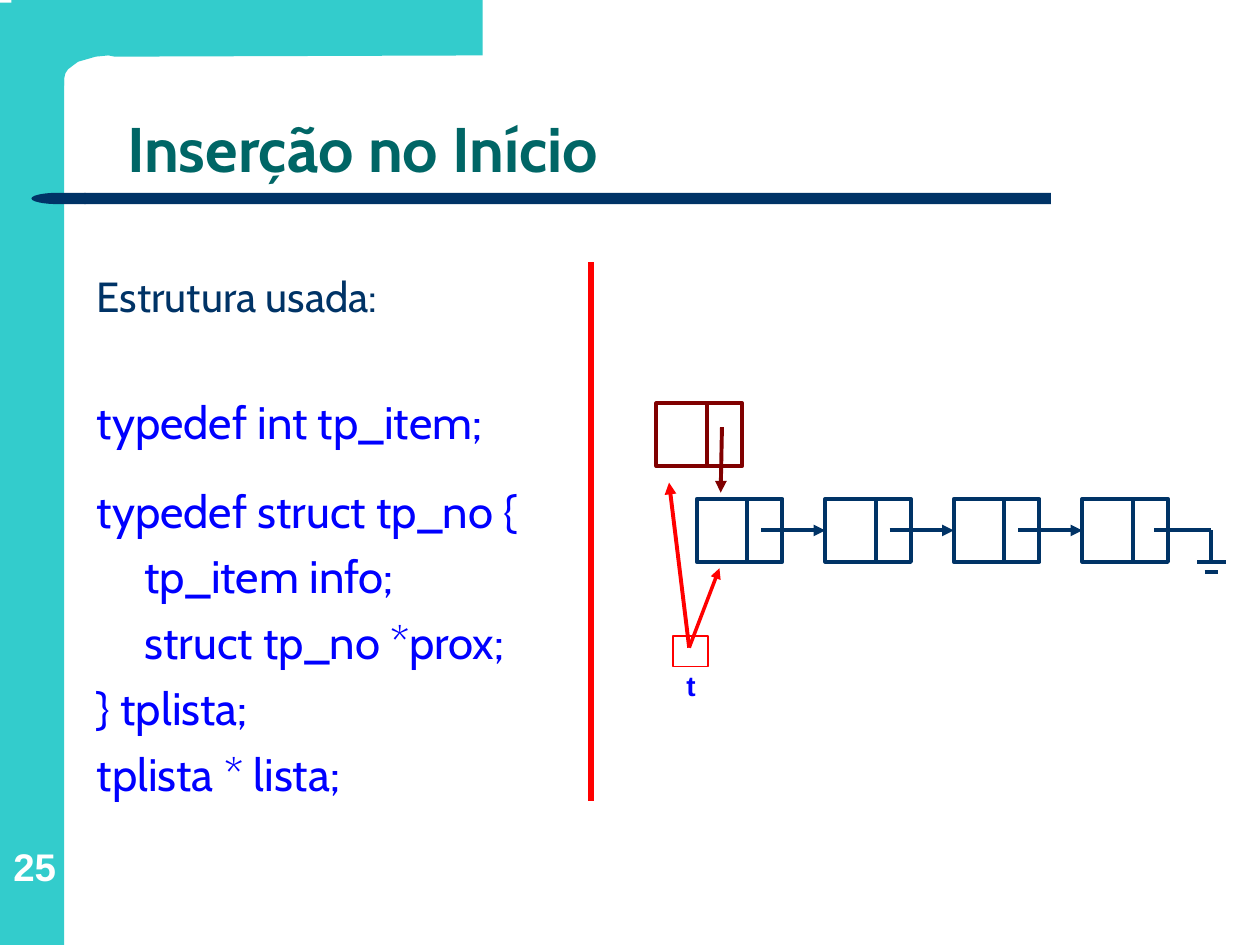
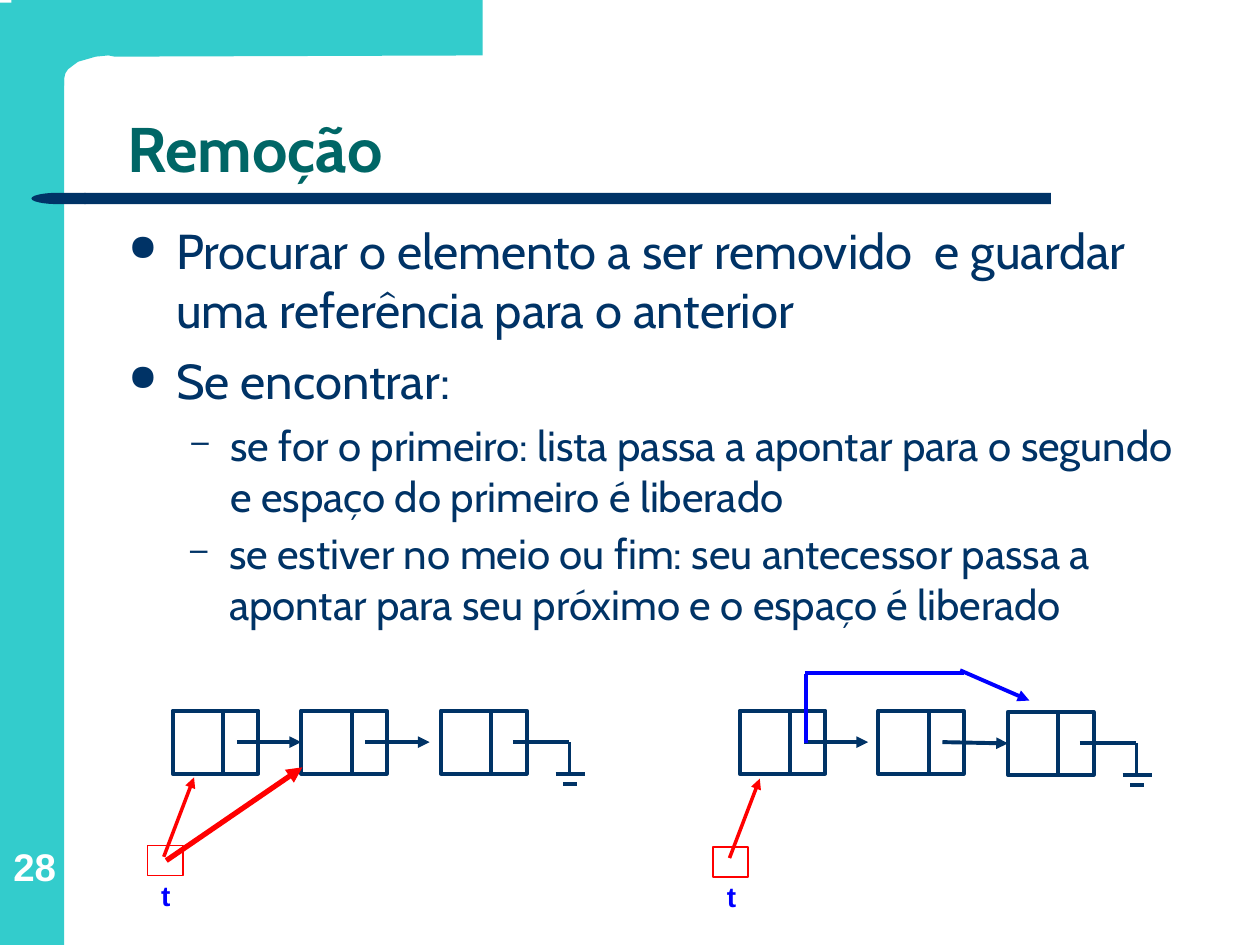
import pptx
import pptx.util
import pptx.dml.color
import pptx.enum.shapes
import pptx.enum.text
import pptx.oxml.ns
from lxml import etree

Inches, Pt = pptx.util.Inches, pptx.util.Pt
SHAPE = pptx.enum.shapes.MSO_SHAPE
ALIGN = pptx.enum.text.PP_ALIGN
ANCHOR = pptx.enum.text.MSO_ANCHOR
qn = pptx.oxml.ns.qn

# ---- Content ----
COLORS = dict(band="33CCCC", navy="003366", teal="006666", blue="0000FF",
              red="FF0000", maroon="800000", white="FFFFFF")

# Code lines: text, size, colour, space before, left margin
CODE = [
    ("Estrutura usada:", 24, "navy", 6, 0),
    ("typedef int tp_item;", 26, "blue", 41.5, 0),
    ("typedef struct tp_no {", 26, "blue", 19.5, 0),
    ("tp_item info;", 26, "blue", 6.5, 0.38),
    ("struct tp_no *prox;", 26, "blue", 6.5, 0.38),
    ("} tplista;", 26, "blue", 6.5, 0),
    ("tplista * lista;", 26, "blue", 6.5, 0),
]

# Bullets: level, text
STEPS = [
    (0, "Procurar o elemento a ser removido  e guardar uma referência para o anterior"),
    (0, "Se encontrar:"),
    (1, "se for o primeiro: lista passa a apontar para o segundo e espaço do primeiro é liberado"),
]
LAST = [(1, "se estiver no meio ou fim: seu antecessor passa a "
            "apontar para seu próximo e o espaço é liberado")]

# Level: mark, size, space before, margin, indent
LEVELS = [("●", 28, 7, 0.38, -0.38), ("–", 24, 6, 0.81, -0.31)]

# Linked lists: left and top of each node
INSERT = [(5.53 + 1.02 * i, 3.96) for i in range(4)]
BEFORE = [(1.37, 5.64), (2.39, 5.64), (3.5, 5.64)]
AFTER = [(5.87, 5.64), (6.97, 5.64), (8, 5.65)]
INFO, NEXT, TALL = 0.4, 0.28, 0.5

# Outline of the top band, with its rounded inner corner
BAND = [(3.83, 0), (3.83, 0.44), (0.91, 0.45), (0.86, 0.44), (0.76, 0.45),
        (0.69, 0.47), (0.62, 0.49), (0.58, 0.52), (0.54, 0.55), (0.52, 0.58),
        (0.51, 0.62), (0.51, 0.68), (0.09, 0.68), (0.09, 0)]


# ---- Helpers ----
def rgb(name):
    return pptx.dml.color.RGBColor.from_string(COLORS[name])


def paint(shape, fill=None, line=None, width=2.25):
    shape.shadow.inherit = False
    if fill:
        shape.fill.solid()
        shape.fill.fore_color.rgb = rgb(fill)
    else:
        shape.fill.background()
    if line:
        shape.line.color.rgb = rgb(line)
        shape.line.width = Pt(width)
    else:
        shape.line.fill.background()
    return shape


def block(slide, box, fill=None, line=None, width=2.25, kind=SHAPE.RECTANGLE):
    shape = slide.shapes.add_shape(kind, *map(Inches, box))
    return paint(shape, fill, line, width)


def wire(slide, start, end, color="navy", width=2.25, arrow=False, goal=None):
    line = slide.shapes.add_connector(
        pptx.enum.shapes.MSO_CONNECTOR.STRAIGHT, *map(Inches, (*start, *end)))
    line.line.color.rgb = rgb(color)
    line.line.width = Pt(width)
    if arrow:
        etree.SubElement(line.line._get_or_add_ln(), qn("a:tailEnd"), type="triangle")
    etree.SubElement(line._element.spPr, qn("a:effectLst"))
    if goal is not None:
        line.end_connect(goal, 1)


def frame(slide, box, anchor=ANCHOR.TOP, wrap=True):
    text = slide.shapes.add_textbox(*map(Inches, box)).text_frame
    text.word_wrap = wrap
    text.vertical_anchor = anchor
    return text


def style(para, text, size, color, face="Cabin", bold=False, align=ALIGN.LEFT):
    para.text = text
    para.alignment = align
    para.font.size, para.font.name, para.font.bold = Pt(size), face, bold
    para.font.color.rgb = rgb(color)
    return para


def paras(text, items):
    for i, item in enumerate(items):
        yield (text.add_paragraph() if i else text.paragraphs[0]), item


def indent(para, left, first=0):
    props = para._p.get_or_add_pPr()
    props.set("marL", str(Inches(left)))
    props.set("indent", str(Inches(first)))
    return props


def bullets(slide, box, items):
    for para, (level, words) in paras(frame(slide, box), items):
        mark, size, gap, left, first = LEVELS[level]
        style(para, words, size, "navy")
        para.level = level
        para.space_before = Pt(gap)
        props = indent(para, left, first)
        tint = etree.SubElement(props, qn("a:buClr"))
        etree.SubElement(tint, qn("a:srgbClr"), val=COLORS["navy"])
        etree.SubElement(props, qn("a:buSzPct"), val="75000")
        etree.SubElement(props, qn("a:buChar"), char=mark)


# ---- Shared parts ----
def base(deck, title, number):
    slide = deck.slides.add_slide(deck.slide_layouts[6])
    block(slide, (0, 0.02, 0.51, 7.48), "band")
    edge = [(Inches(x), Inches(y)) for x, y in BAND]
    build = slide.shapes.build_freeform(*edge[0], scale=1.0)
    build.add_line_segments(edge[1:], close=True)
    paint(build.convert_to_shape(), "band")

    # Title rule with a rounded left tip
    block(slide, (0.67, 1.53, 7.67, 0.09), "navy")
    tip = block(slide, (0.25, 1.53, 0.43, 0.09), "navy", kind=SHAPE.FLOWCHART_DELAY)
    tip._element.spPr.find(qn("a:xfrm")).set("flipH", "1")

    page = frame(slide, (0.03, 6.52, 0.49, 0.54), ANCHOR.BOTTOM)
    page.margin_left = page.margin_right = page.margin_top = page.margin_bottom = 0
    style(page.paragraphs[0], number, 22, "white", "Arial", True, ALIGN.CENTER)

    head = frame(slide, (0.91, 0.44, 8.51, 1.09), ANCHOR.BOTTOM)
    style(head.paragraphs[0], title, 36, "teal", bold=True).line_spacing = 0.9
    return slide


def node(slide, x, y, color="navy"):
    info = block(slide, (x, y, INFO, TALL), line=color)
    block(slide, (x + INFO, y, NEXT, TALL), line=color)
    return info


def chain(slide, spots):
    cells = [node(slide, x, y) for x, y in spots]
    for i, (x, y) in enumerate(spots[:-1]):
        mid, end = y + TALL / 2, x + 1.02
        touch = abs(spots[i + 1][0] - end) < 0.02
        wire(slide, (x + 0.51, mid), (end, mid), arrow=True,
             goal=cells[i + 1] if touch else None)

    # Ground sign after the last node
    x, y = spots[-1]
    mid, foot = y + TALL / 2, y + TALL
    for start, end in [((0.57, mid), (1.02, mid)), ((1.02, mid), (1.02, foot)),
                       ((0.91, foot), (1.14, foot)),
                       ((0.97, foot + 0.08), (1.08, foot + 0.08))]:
        wire(slide, (x + start[0], start[1]), (x + end[0], end[1]))


def head(slide, x, y):
    block(slide, (x, y, 0.28, 0.24), line="red", width=1)
    wire(slide, (x + 0.13, y + 0.09), (x + 0.37, y - 0.54), "red", 2, True)
    text = frame(slide, (x + 0.01, y + 0.21, 0.27, 0.37), wrap=False)
    style(text.paragraphs[0], "t", 16, "blue", "Arial", True, ALIGN.CENTER)


# ---- Slides ----
def insert(deck):
    slide = base(deck, "Inserção no Início", "25")
    text = frame(slide, (0.67, 2.1, 3.94, 4.65))
    for para, (words, size, color, gap, left) in paras(text, CODE):
        style(para, words, size, color).space_before = Pt(gap)
        indent(para, left)
    wire(slide, (4.69, 2.08), (4.69, 6.36), "red", 3)
    chain(slide, INSERT)
    head(slide, 5.34, 5.05)

    # New first node
    node(slide, 5.21, 3.2, "maroon")
    wire(slide, (5.47, 5.14), (5.31, 3.83), "red", arrow=True)
    wire(slide, (5.73, 3.39), (5.72, 3.91), "maroon", arrow=True)


def remove(deck):
    slide = base(deck, "Remoção", "28")
    bullets(slide, (0.92, 1.7, 8.65, 2.52), STEPS)
    bullets(slide, (0.91, 4.14, 8.65, 1.65), LAST)

    # First node removed
    chain(slide, BEFORE)
    wire(slide, (1.32, 6.83), (2.4, 6.09), "red", 3, True)
    head(slide, 1.17, 6.71)

    # Middle node bypassed
    chain(slide, AFTER)
    head(slide, 5.66, 6.72)
    wire(slide, (6.4, 5.9), (6.4, 5.35), "blue")
    wire(slide, (6.39, 5.34), (7.65, 5.34), "blue")
    wire(slide, (7.62, 5.32), (8.17, 5.56), "blue", arrow=True)


def main():
    deck = pptx.Presentation()
    deck.slide_width, deck.slide_height = Inches(10), Inches(7.5)
    insert(deck)
    remove(deck)
    deck.save("out.pptx")


if __name__ == "__main__":
    main()
